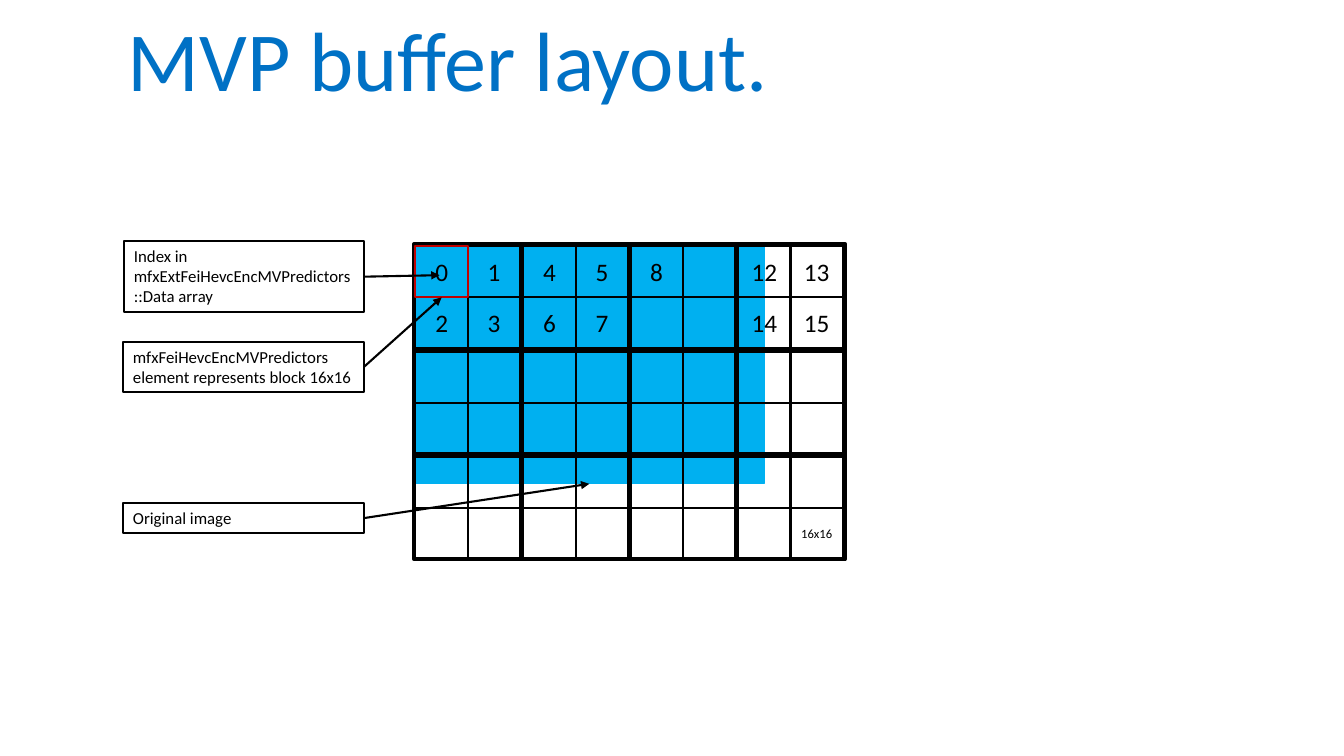
"""Builds the MVP buffer layout slide: a grid of 16x16 blocks with callouts."""
from lxml.etree import SubElement
from pptx import Presentation
from pptx.dml.color import RGBColor
from pptx.enum.shapes import MSO_CONNECTOR, MSO_SHAPE
from pptx.enum.text import MSO_ANCHOR, MSO_AUTO_SIZE, PP_ALIGN
from pptx.oxml.ns import qn
from pptx.util import Pt

PX = 9144
FONT = "Calibri"
BLACK = RGBColor(0x00, 0x00, 0x00)
RED = RGBColor(0xC0, 0x00, 0x00)
SKY = RGBColor(0x00, 0xB0, 0xF0)
TITLE_BLUE = RGBColor(0x00, 0x71, 0xC5)

TITLE = ("MVP buffer layout.", (117, 14, 1079, 100))
IMAGE_AREA = (411, 242, 347, 238)

BLOCK_LEFTS = (411, 518, 624, 731)
BLOCK_TOPS = (242, 347, 451)
BLOCK_SIZE = (107, 104)
CELL_COLUMNS = ((1, 52), (53, 52))
CELL_ROWS = ((2, 51), (53, 50))
CELL_LABELS = [
    ["0", "1", "4", "5", "8", "", "12", "13"],
    ["2", "3", "6", "7", "", "", "14", "15"],
    [""] * 8,
    [""] * 8,
    [""] * 8,
    [""] * 7 + ["16x16"],
]

INDEX_NOTE = (["Index in mfxExtFeiHevcEncMVPredictors::Data array"], (123, 239, 238, 71))
ELEMENT_NOTE = (
    ["mfxFeiHevcEncMVPredictors", "element represents block 16x16"],
    (122, 339, 239, 50),
)
IMAGE_NOTE = (["Original image"], (122, 499, 239, 30))
INDEX_TARGET = (436, 273)

RIGHT, BOTTOM = 3, 2


def emu(lengths):
    return [length * PX for length in lengths]


def add_run(paragraph, text, size, color=BLACK):
    run = paragraph.add_run()
    run.text = text
    run.font.name = FONT
    run.font.size = Pt(size)
    run.font.color.rgb = color


def add_rect(slide, place, line, width, fill=None):
    rect = slide.shapes.add_shape(MSO_SHAPE.RECTANGLE, *emu(place))
    rect.shadow.inherit = False
    if fill is None:
        rect.fill.background()
    else:
        rect.fill.solid()
        rect.fill.fore_color.rgb = fill
    rect.line.color.rgb = line
    rect.line.width = Pt(width)
    return rect


def add_cell(slide, place, label):
    cell = add_rect(slide, place, BLACK, 1.5)
    if label:
        frame = cell.text_frame
        frame.margin_left = frame.margin_right = 0
        frame.vertical_anchor = MSO_ANCHOR.MIDDLE
        frame.paragraphs[0].alignment = PP_ALIGN.CENTER
        add_run(frame.paragraphs[0], label, 18 if label.isdigit() else 9)


def add_block(slide, row, column):
    left, top = BLOCK_LEFTS[column], BLOCK_TOPS[row]
    add_rect(slide, (left, top, *BLOCK_SIZE), BLACK, 3)
    for r, (dy, height) in enumerate(CELL_ROWS):
        for c, (dx, width) in enumerate(CELL_COLUMNS):
            label = CELL_LABELS[2 * row + r][2 * column + c]
            add_cell(slide, (left + dx, top + dy, width, height), label)


def add_note(slide, lines, place):
    note = add_rect(slide, place, BLACK, 1.5)
    frame = note.text_frame
    frame.word_wrap = True
    frame.auto_size = MSO_AUTO_SIZE.SHAPE_TO_FIT_TEXT
    frame.vertical_anchor = MSO_ANCHOR.TOP
    for number, line in enumerate(lines):
        paragraph = frame.add_paragraph() if number else frame.paragraphs[0]
        paragraph.alignment = PP_ALIGN.LEFT
        add_run(paragraph, line, 12)
    return note


def add_arrow(slide, note, target=None, point=(0, 0)):
    arrow = slide.shapes.add_connector(MSO_CONNECTOR.STRAIGHT, 0, 0, *emu(point))
    arrow.begin_connect(note, RIGHT)
    if target is not None:
        arrow.end_connect(target, BOTTOM)
    arrow.line.color.rgb = BLACK
    arrow.line.width = Pt(1.5)
    SubElement(arrow.line._get_or_add_ln(), qn("a:tailEnd"), type="triangle")
    SubElement(arrow._element.spPr, qn("a:effectLst"))


def add_title(slide, text, place):
    frame = slide.shapes.add_textbox(*emu(place)).text_frame
    frame.word_wrap = True
    frame.vertical_anchor = MSO_ANCHOR.BOTTOM
    frame.paragraphs[0].line_spacing = 0.9
    add_run(frame.paragraphs[0], text, 60, TITLE_BLUE)


def main():
    deck = Presentation()
    deck.slide_width, deck.slide_height = emu((1333, 750))
    slide = deck.slides.add_slide(deck.slide_layouts[6])

    add_title(slide, *TITLE)
    image_area = add_rect(slide, IMAGE_AREA, SKY, 1, SKY)
    for row in range(len(BLOCK_TOPS)):
        for column in range(len(BLOCK_LEFTS)):
            add_block(slide, row, column)

    (dx, width), (dy, height) = CELL_COLUMNS[0], CELL_ROWS[0]
    first_place = (BLOCK_LEFTS[0] + dx, BLOCK_TOPS[0] + dy, width, height)
    first_element = add_rect(slide, first_place, RED, 1.5)

    element_note = add_note(slide, *ELEMENT_NOTE)
    index_note = add_note(slide, *INDEX_NOTE)
    image_note = add_note(slide, *IMAGE_NOTE)
    add_arrow(slide, element_note, first_element)
    add_arrow(slide, index_note, point=INDEX_TARGET)
    add_arrow(slide, image_note, image_area)

    deck.save("out.pptx")


if __name__ == "__main__":
    main()
